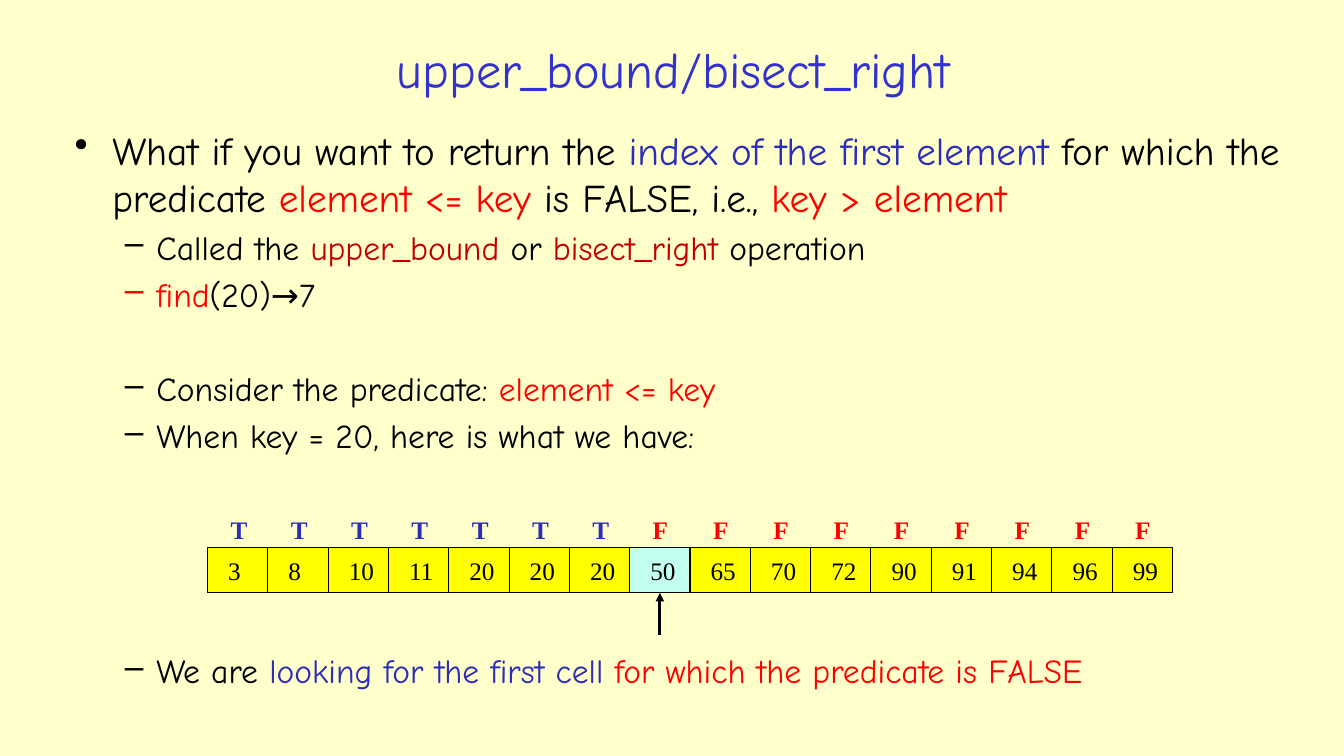
from lxml.etree import SubElement
from pptx import Presentation
from pptx.dml.color import RGBColor
from pptx.enum.shapes import MSO_CONNECTOR as Connector, MSO_SHAPE as Shape
from pptx.enum.text import MSO_ANCHOR as Anchor, PP_ALIGN as Align
from pptx.oxml.ns import qn
from pptx.util import Cm, Pt

BLACK, RED, BLUE, DARK_RED = "000000", "FF0000", "2D2DB9", "C00000"
TITLE_BLUE, CREAM, YELLOW, MINT = "3333CC", "FFFFCC", "FFFF00", "C2FFF0"
COMIC, TIMES = "Comic Neue", "Times New Roman"


def color(value):
    return RGBColor.from_string(value)


class SlideBuilder:
    """Draws styled text, array cells and arrows on one slide."""

    def __init__(self, slide):
        self.slide = slide
        slide.background.fill.solid()
        slide.background.fill.fore_color.rgb = color(CREAM)

    def add_run(self, paragraph, text, font, size, ink, bold=False):
        run = paragraph.add_run()
        run.text = text
        run.font.name = font
        run.font.size = Pt(size)
        run.font.bold = bold
        run.font.color.rgb = color(ink)

    def text_box(self, left, top, width, height, wrap=True):
        box = self.slide.shapes.add_textbox(Cm(left), Cm(top), Cm(width), Cm(height))
        box.text_frame.word_wrap = wrap
        return box.text_frame

    def title(self, text, left, top, width, height):
        frame = self.text_box(left, top, width, height)
        frame.vertical_anchor = Anchor.MIDDLE
        paragraph = frame.paragraphs[0]
        paragraph.alignment = Align.CENTER
        self.add_run(paragraph, text, COMIC, 36, TITLE_BLUE)

    def bullets(self, items, left, top, width, height):
        frame = self.text_box(left, top, width, height)
        for index, (level, space_before, runs) in enumerate(items):
            paragraph = frame.paragraphs[0] if index == 0 else frame.add_paragraph()
            mark, margin, indent, size = (("•", 0.95, -0.95, 28), ("–", 2.06, -0.79, 24))[level]
            paragraph.level = level
            paragraph.space_before = Pt(space_before)
            properties = paragraph._p.get_or_add_pPr()
            properties.set("marL", str(Cm(margin)))
            properties.set("indent", str(Cm(indent)))
            SubElement(properties, qn("a:buChar")).set("char", mark)
            for text, ink in runs:
                self.add_run(paragraph, text, COMIC, size, ink)

    def label(self, text, ink, left, top):
        frame = self.text_box(left, top, 0.94, 1.02, wrap=False)
        self.add_run(frame.paragraphs[0], text, TIMES, 18, ink, bold=True)

    def cell(self, value, fill, left, top, width, height):
        shape = self.slide.shapes.add_shape(
            Shape.RECTANGLE, Cm(left), Cm(top), Cm(width), Cm(height))
        shape.shadow.inherit = False
        shape.fill.solid()
        shape.fill.fore_color.rgb = color(fill)
        shape.line.color.rgb = color(BLACK)
        shape.line.width = Pt(0.75)
        frame = shape.text_frame
        frame.word_wrap = False
        frame.vertical_anchor = Anchor.MIDDLE
        frame.margin_left = Cm(0.52)
        frame.margin_right = frame.margin_top = frame.margin_bottom = 0
        frame.paragraphs[0].alignment = Align.LEFT
        self.add_run(frame.paragraphs[0], str(value), TIMES, 18, BLACK)

    def arrow(self, start_x, start_y, end_x, end_y):
        connector = self.slide.shapes.add_connector(
            Connector.STRAIGHT, Cm(start_x), Cm(start_y), Cm(end_x), Cm(end_y))
        connector.line.color.rgb = color(BLACK)
        connector.line.width = Pt(2)
        SubElement(connector.line._get_or_add_ln(), qn("a:tailEnd")).set("type", "triangle")
        SubElement(connector._element.spPr, qn("a:effectLst"))


def main():
    presentation = Presentation()
    presentation.slide_width, presentation.slide_height = Cm(33.87), Cm(19.05)
    builder = SlideBuilder(presentation.slides.add_slide(presentation.slide_layouts[6]))

    builder.title("upper_bound/bisect_right", 1.63, 0.66, 30.68, 2.13)
    builder.bullets([
        (0, 0, [("What if you want to return the ", BLACK),
                ("index of the first element ", BLUE),
                ("for which the predicate ", BLACK),
                ("element <= key ", RED),
                ("is FALSE, i.e., ", BLACK),
                ("key > element", RED)]),
        (1, 4.8, [("Called the ", BLACK), ("upper_bound ", DARK_RED), ("or ", BLACK),
                  ("bisect_right", DARK_RED), (" operation", BLACK)]),
        (1, 4.8, [("find", RED), ("(20)→7", BLACK)]),
        (1, 38.4, [("Consider the predicate: ", BLACK), ("element <= key", RED)]),
        (1, 4.8, [("When key = 20, here is what we have:", BLACK)]),
        (1, 139.2, [("We are ", BLACK), ("looking for the first cell ", BLUE),
                    ("for which the predicate is FALSE", RED)]),
    ], 1.63, 3.05, 31.06, 15.6)

    values = [3, 8, 10, 11, 20, 20, 20, 50, 65, 70, 72, 90, 91, 94, 96, 99]
    key = 20
    answer = next(index for index, value in enumerate(values) if value > key)
    row_left, row_top, cell_width, cell_height = 5.23, 13.79, 1.52, 1.15
    for index, value in enumerate(values):
        left = row_left + index * cell_width
        builder.cell(value, MINT if index == answer else YELLOW,
                     left, row_top, cell_width, cell_height)
        mark, ink = ("T", BLUE) if value <= key else ("F", RED)
        builder.label(mark, ink, left + 0.33, 12.83)

    arrow_x = row_left + (answer + 0.5) * cell_width
    builder.arrow(arrow_x, 16, arrow_x, row_top + cell_height)

    presentation.save("out.pptx")


if __name__ == "__main__":
    main()
